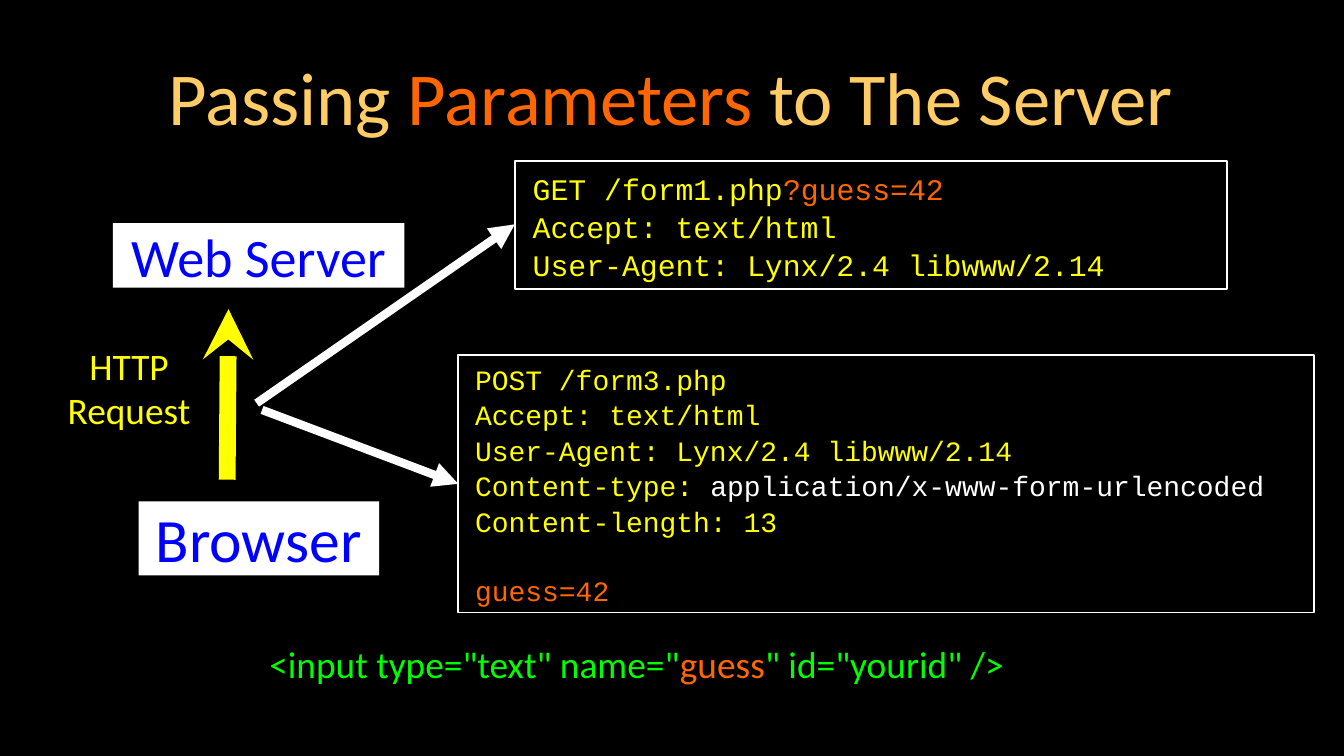
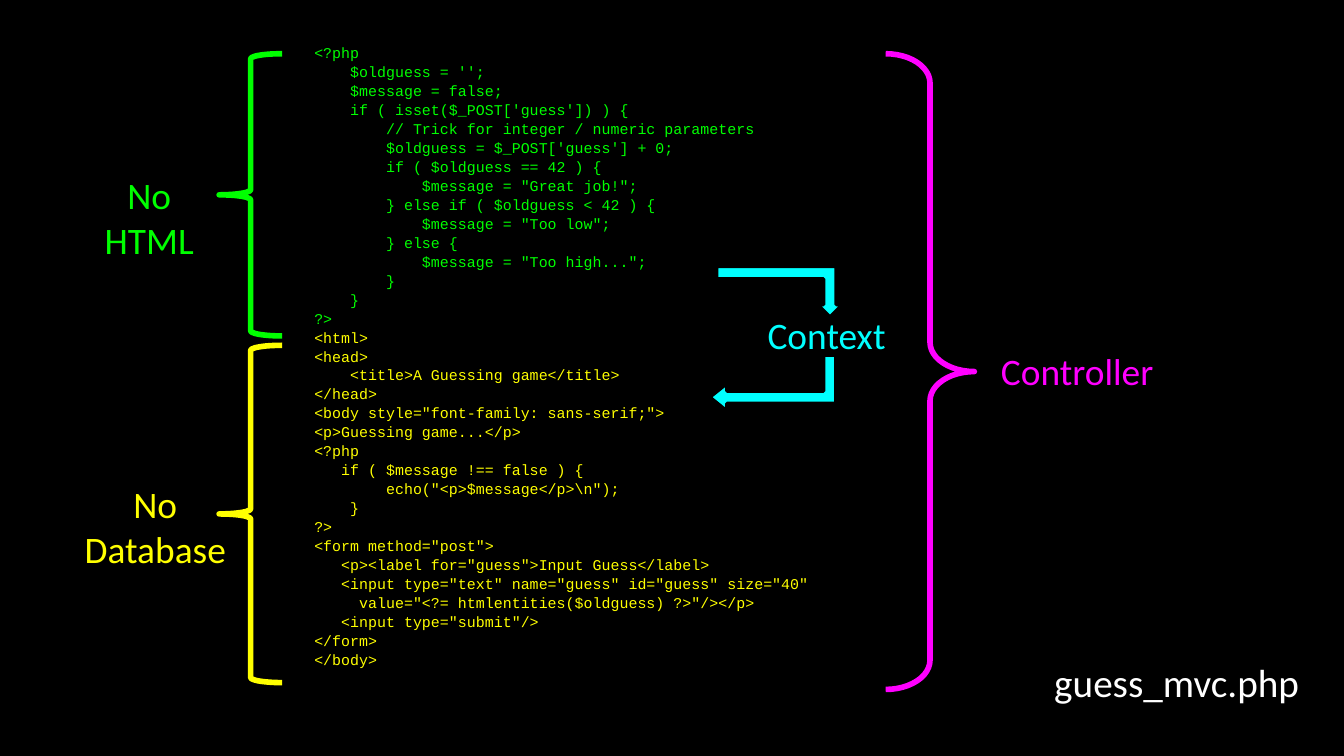
from dataclasses import dataclass
from typing import NamedTuple

import pptx
import pptx.dml.color
import pptx.enum.shapes
import pptx.enum.text
import pptx.oxml
import pptx.oxml.ns
import pptx.util

Pt = pptx.util.Pt
SHAPES = pptx.enum.shapes.MSO_SHAPE
ALIGN = pptx.enum.text.PP_ALIGN

BLACK, WHITE, GOLD, ORANGE = "000000", "FFFFFF", "FFCC66", "FF6600"
YELLOW, GREEN, BLUE = "FFFF00", "00FF00", "0000FF"
MAGENTA, CYAN = "FF00FF", "00FFFF"
SANS, MONO = "Calibri", "Courier New"
MONO_LINE_SPACING = 1.06


class Box(NamedTuple):
    left: float
    top: float
    width: float
    height: float


class Span(NamedTuple):
    text: str
    color: str


Line = list[Span]


@dataclass
class Label:
    """Text box, optionally filled or outlined."""
    box: Box
    lines: list[Line]
    size: float
    font: str = SANS
    centered: bool = True
    wrap: bool = False
    left_inset: float = 0
    fill: str | None = None
    outline: str | None = None
    gap_before_last: float = 0


@dataclass
class Arrow:
    tip: tuple[float, float]
    tail: tuple[float, float]
    color: str
    width: float
    head: str = "triangle"


@dataclass
class Brace:
    kind: SHAPES
    box: Box
    color: str
    curl: float


@dataclass
class BentArrow:
    box: Box
    rotation: float
    adjustments: tuple[float, float, float]


def rgb(color: str) -> pptx.dml.color.RGBColor:
    return pptx.dml.color.RGBColor.from_string(color)


def points(values) -> list:
    return [Pt(value) for value in values]


def plain(text: str, color: str) -> list[Line]:
    """One single-coloured line for each line of the text."""
    return [[Span(line, color)] for line in text.split("\n")]


def add_dark_slide(presentation):
    slide = presentation.slides.add_slide(presentation.slide_layouts[6])
    slide.background.fill.solid()
    slide.background.fill.fore_color.rgb = rgb(BLACK)
    return slide


def draw_label(slide, label: Label) -> None:
    shape = slide.shapes.add_textbox(*points(label.box))
    if label.fill:
        shape.fill.solid()
        shape.fill.fore_color.rgb = rgb(label.fill)
    if label.outline:
        shape.line.color.rgb = rgb(label.outline)
        shape.line.width = Pt(1)
    frame = shape.text_frame
    frame.word_wrap = label.wrap
    frame.vertical_anchor = pptx.enum.text.MSO_ANCHOR.MIDDLE
    frame.margin_left = Pt(label.left_inset)
    frame.margin_top = frame.margin_right = frame.margin_bottom = 0
    for index, line in enumerate(label.lines):
        paragraph = frame.add_paragraph() if index else frame.paragraphs[0]
        paragraph.alignment = ALIGN.CENTER if label.centered else ALIGN.LEFT
        if label.font == MONO:
            paragraph.line_spacing = MONO_LINE_SPACING
        for span in line:
            run = paragraph.add_run()
            run.text = span.text
            run.font.name = label.font
            run.font.size = Pt(label.size)
            run.font.color.rgb = rgb(span.color)
    if label.gap_before_last:
        paragraph.space_before = Pt(label.gap_before_last)


def draw_arrow(slide, arrow: Arrow) -> None:
    connector = slide.shapes.add_connector(
        pptx.enum.shapes.MSO_CONNECTOR.STRAIGHT,
        *points(arrow.tip + arrow.tail))
    connector.line.color.rgb = rgb(arrow.color)
    connector.line.width = Pt(arrow.width)
    line = connector.line._get_or_add_ln()
    head = pptx.oxml.parse_xml(
        f'<a:headEnd {pptx.oxml.ns.nsdecls("a")} type="{arrow.head}"/>')
    line.append(head)
    effects = pptx.oxml.parse_xml(
        f'<a:effectLst {pptx.oxml.ns.nsdecls("a")}/>')
    connector._element.spPr.append(effects)


def draw_brace(slide, brace: Brace) -> None:
    shape = slide.shapes.add_shape(brace.kind, *points(brace.box))
    shape.shadow.inherit = False
    shape.adjustments[0] = brace.curl
    shape.fill.background()
    shape.line.color.rgb = rgb(brace.color)
    shape.line.width = Pt(3)


def draw_bent_arrow(slide, arrow: BentArrow) -> None:
    shape = slide.shapes.add_shape(SHAPES.BENT_UP_ARROW, *points(arrow.box))
    shape.shadow.inherit = False
    for index, value in enumerate(arrow.adjustments):
        shape.adjustments[index] = value
    shape.rotation = arrow.rotation
    shape._element.spPr.xfrm.set("flipV", "1")
    shape.fill.solid()
    shape.fill.fore_color.rgb = rgb(CYAN)
    shape.line.color.rgb = rgb(BLACK)
    shape.line.width = Pt(2)


# Slide 1: request parameters
TITLE = [[Span("Passing ", GOLD), Span("Parameters", ORANGE),
          Span(" to The Server", GOLD)]]
COMMON_HEADERS = plain("""Accept: text/html
User-Agent: Lynx/2.4 libwww/2.14""", YELLOW)
GET_REQUEST = [[Span("GET /form1.php", YELLOW), Span("?guess=42", ORANGE)],
               *COMMON_HEADERS]
POST_REQUEST = [
    [Span("POST /form3.php", YELLOW)],
    *COMMON_HEADERS,
    [Span("Content-type: ", YELLOW),
     Span("application/x-www-form-urlencoded", WHITE)],
    [Span("Content-length: 13", YELLOW)],
    [Span("guess=42", ORANGE)],
]
INPUT_TAG = [[Span('<input type="text" name="', GREEN), Span("guess", ORANGE),
              Span('" id="yourid" />', GREEN)]]

REQUEST_LABELS = [
    Label(Box(51, 11, 617, 81), TITLE, 40, wrap=True),
    Label(Box(275.8, 86.4, 381.6, 68.4), GET_REQUEST, 16, MONO,
          centered=False, wrap=True, left_inset=9.6, outline=WHITE),
    Label(Box(245.5, 190, 458.6, 138.2), POST_REQUEST, 15, MONO,
          centered=False, wrap=True, left_inset=9, outline=WHITE,
          gap_before_last=18),
    Label(Box(31, 183.6, 76.3, 48.2), plain("HTTP\nRequest", YELLOW), 20),
    Label(Box(74.2, 268.6, 128.9, 39.6), plain("Browser", BLUE), 33,
          fill=WHITE),
    Label(Box(60.5, 119.5, 156.2, 34.6), plain("Web Server", BLUE), 29,
          fill=WHITE),
    Label(Box(121.7, 342, 477.4, 27.4), INPUT_TAG, 20,
          centered=False, wrap=True, left_inset=22.6),
]
REQUEST_ARROWS = [
    Arrow((122.4, 165.6), (121.7, 257), YELLOW, 9, "stealth"),
    Arrow((275.8, 120.2), (137.5, 216), WHITE, 4.5),
    Arrow((245.5, 259.2), (140.4, 219.6), WHITE, 4.5),
]

# Slide 2: the guessing game split into controller logic and view
LOGIC_CODE = """<?php
    $oldguess = '';
    $message = false;
    if ( isset($_POST['guess']) ) {
        // Trick for integer / numeric parameters
        $oldguess = $_POST['guess'] + 0;
        if ( $oldguess == 42 ) {
            $message = "Great job!";
        } else if ( $oldguess < 42 ) {
            $message = "Too low";
        } else {
            $message = "Too high...";
        }
    }
?>"""
VIEW_CODE = r"""<html>
<head>
    <title>A Guessing game</title>
</head>
<body style="font-family: sans-serif;">
<p>Guessing game...</p>
<?php
   if ( $message !== false ) {
        echo("<p>$message</p>\n");
    }
?>
<form method="post">
   <p><label for="guess">Input Guess</label>
   <input type="text" name="guess" id="guess" size="40"
     value="<?= htmlentities($oldguess) ?>"/></p>
   <input type="submit"/>
</form>
</body>"""

CODE_LABELS = [
    Label(Box(161.3, 28.8, 360, 323.3),
          plain(LOGIC_CODE, GREEN) + plain(VIEW_CODE, YELLOW), 8, MONO,
          centered=False, wrap=True, left_inset=7.2),
    Label(Box(45.4, 88.6, 69.1, 55.4), plain("No\nHTML", GREEN), 20),
    Label(Box(31.7, 254.2, 103, 55.4), plain("No\nDatabase", YELLOW), 20),
    Label(Box(522.7, 182.9, 108.7, 31.7), plain("Controller", MAGENTA), 20),
    Label(Box(398.9, 163.4, 87.8, 31.7), plain("Context", CYAN), 20),
    Label(Box(554.4, 352.8, 151.9, 25.2), plain("guess_mvc.php", WHITE), 21),
]
BRACES = [
    Brace(SHAPES.LEFT_BRACE, Box(117.4, 28.8, 33.8, 151.2), GREEN, 0.08),
    Brace(SHAPES.LEFT_BRACE, Box(117.4, 185, 33.8, 180.7), YELLOW, 0.08),
    Brace(SHAPES.RIGHT_BRACE, Box(474.5, 28.8, 47.5, 340.6), MAGENTA, 0.33),
]
CONTEXT_ARROWS = [
    BentArrow(Box(383.8, 142.6, 67.7, 27.4), 0, (0.25, 0.25, 0.25)),
    BentArrow(Box(398.9, 171.4, 30.2, 67.7), 90, (0.22, 0.25, 0.31)),
]


def main() -> None:
    presentation = pptx.Presentation()
    presentation.slide_width, presentation.slide_height = Pt(720), Pt(405)

    request_slide = add_dark_slide(presentation)
    for label in REQUEST_LABELS:
        draw_label(request_slide, label)
    for arrow in REQUEST_ARROWS:
        draw_arrow(request_slide, arrow)

    code_slide = add_dark_slide(presentation)
    for label in CODE_LABELS:
        draw_label(code_slide, label)
    for brace in BRACES:
        draw_brace(code_slide, brace)
    for arrow in CONTEXT_ARROWS:
        draw_bent_arrow(code_slide, arrow)

    presentation.save("out.pptx")


if __name__ == "__main__":
    main()
